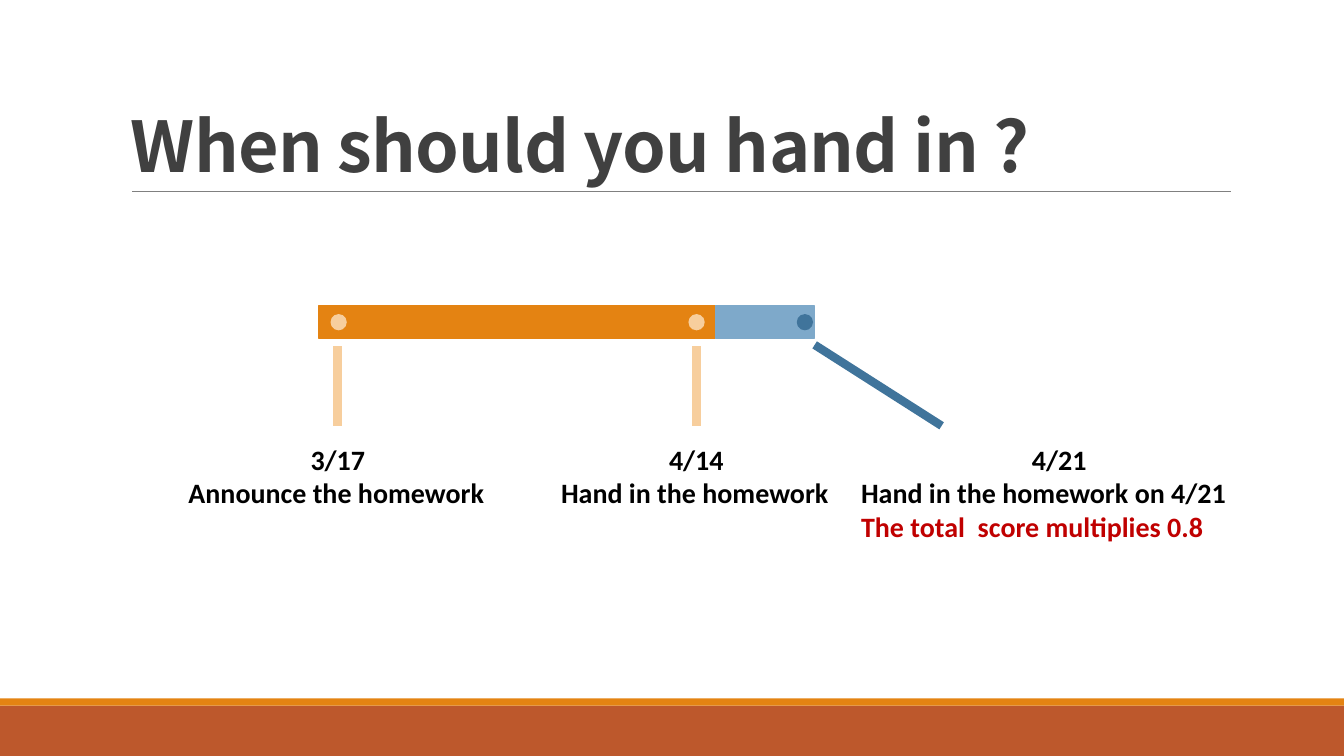
from dataclasses import dataclass

from lxml.etree import SubElement
from pptx import Presentation
from pptx.dml.color import RGBColor
from pptx.enum.shapes import MSO_CONNECTOR, MSO_SHAPE
from pptx.enum.text import MSO_ANCHOR, MSO_AUTO_SIZE, PP_ALIGN
from pptx.oxml.ns import qn
from pptx.slide import Slide
from pptx.util import Cm, Pt

RUST = RGBColor(0xBD, 0x58, 0x2C)
ORANGE = RGBColor(0xE4, 0x83, 0x12)
PEACH = RGBColor(0xF7, 0xCE, 0x9D)
SKY = RGBColor(0x7E, 0xA9, 0xCA)
STEEL = RGBColor(0x40, 0x74, 0x9B)
GREY = RGBColor(0x80, 0x80, 0x80)
CHARCOAL = RGBColor(0x40, 0x40, 0x40)
BLACK = RGBColor(0, 0, 0)
RED = RGBColor(0xC0, 0, 0)

SLIDE_W, SLIDE_H = 33.87, 19.05
BAR_TOP, BAR_H = 7.72, 0.8
DOT = 0.41
LABEL_TOP = 11.02
POINTER_END = 10.73


@dataclass
class Box:
    left: float
    top: float
    width: float
    height: float


@dataclass
class Bar:
    box: Box
    fill: RGBColor
    outlined: bool = False


@dataclass
class Line:
    x1: float
    y1: float
    x2: float
    y2: float
    color: RGBColor
    width: float


@dataclass
class Milestone:
    dot_left: float
    pointer: Line
    label: Box
    date: str
    action: str
    penalty: str = ""
    wrap: bool = False


BARS = [
    Bar(Box(0, 17.78, SLIDE_W, 1.27), RUST),
    Bar(Box(0, 17.6, SLIDE_W, 0.18), ORANGE),
    Bar(Box(8.03, BAR_TOP, 10, BAR_H), ORANGE, True),
    Bar(Box(18.03, BAR_TOP, 2.5, BAR_H), SKY, True),
]

MILESTONES = [
    Milestone(8.33, Line(8.51, 8.73, 8.51, POINTER_END, PEACH, 6),
              Box(4.5, LABEL_TOP, 8.03, 1.96), "3/17", "Announce the homework"),
    Milestone(17.35, Line(17.55, 8.73, 17.55, POINTER_END, PEACH, 6),
              Box(13.89, LABEL_TOP, 7.32, 1.96), "4/14", "Hand in the homework"),
    Milestone(20.08, Line(20.53, 8.69, 23.73, POINTER_END, STEEL, 6),
              Box(21.45, LABEL_TOP, 10.49, 2.82), "4/21", "Hand in the homework on 4/21",
              "The total  score multiplies 0.8", True),
]


def add_filled(s: Slide, kind: MSO_SHAPE, box: Box, fill: RGBColor, outlined: bool = False) -> None:
    sp = s.shapes.add_shape(kind, Cm(box.left), Cm(box.top), Cm(box.width), Cm(box.height))
    sp.shadow.inherit = False
    sp.fill.solid()
    sp.fill.fore_color.rgb = fill
    if outlined:
        sp.line.color.rgb = fill
        sp.line.width = Pt(1.25)
    else:
        sp.line.fill.background()


def add_line(s: Slide, line: Line) -> None:
    cx = s.shapes.add_connector(
        MSO_CONNECTOR.STRAIGHT, Cm(line.x1), Cm(line.y1), Cm(line.x2), Cm(line.y2))
    cx.line.color.rgb = line.color
    cx.line.width = Pt(line.width)
    SubElement(cx._element.spPr, qn("a:effectLst"))


def add_title(s: Slide, text: str) -> None:
    sp = s.shapes.add_textbox(Cm(3.05), Cm(0.79), Cm(27.94), Cm(4.04))
    tf = sp.text_frame
    tf.word_wrap = True
    tf.vertical_anchor = MSO_ANCHOR.BOTTOM
    p = tf.paragraphs[0]
    p.line_spacing = 0.85
    r = p.add_run()
    r.text = text
    r.font.name = "Noto Sans CJK SC"
    r.font.size = Pt(50)
    r.font.bold = True
    r.font.color.rgb = CHARCOAL
    r._r.get_or_add_rPr().set("spc", "-50")


def add_label(s: Slide, m: Milestone) -> None:
    box = m.label
    sp = s.shapes.add_textbox(Cm(box.left), Cm(box.top), Cm(box.width), Cm(box.height))
    tf = sp.text_frame
    tf.word_wrap = m.wrap
    tf.auto_size = MSO_AUTO_SIZE.SHAPE_TO_FIT_TEXT
    rows = [(m.date, BLACK, PP_ALIGN.CENTER), (m.action, BLACK, PP_ALIGN.LEFT)]
    if m.penalty:
        rows.append((m.penalty, RED, PP_ALIGN.LEFT))
    for i, (text, color, align) in enumerate(rows):
        p = tf.add_paragraph() if i else tf.paragraphs[0]
        p.alignment = align
        r = p.add_run()
        r.text = text
        r.font.name = "Calibri"
        r.font.size = Pt(20)
        r.font.bold = True
        r.font.color.rgb = color


def main() -> None:
    prs = Presentation()
    prs.slide_width, prs.slide_height = Cm(SLIDE_W), Cm(SLIDE_H)
    s = prs.slides.add_slide(prs.slide_layouts[6])
    for bar in BARS:
        add_filled(s, MSO_SHAPE.RECTANGLE, bar.box, bar.fill, bar.outlined)
    add_line(s, Line(3.33, 4.83, 31.01, 4.83, GREY, 0.5))
    add_title(s, "When should you hand in ?")
    dot_top = BAR_TOP + (BAR_H - DOT) / 2
    for m in MILESTONES:
        add_filled(s, MSO_SHAPE.FLOWCHART_CONNECTOR, Box(m.dot_left, dot_top, DOT, DOT), m.pointer.color)
        add_line(s, m.pointer)
        add_label(s, m)
    prs.save("out.pptx")


if __name__ == "__main__":
    main()
